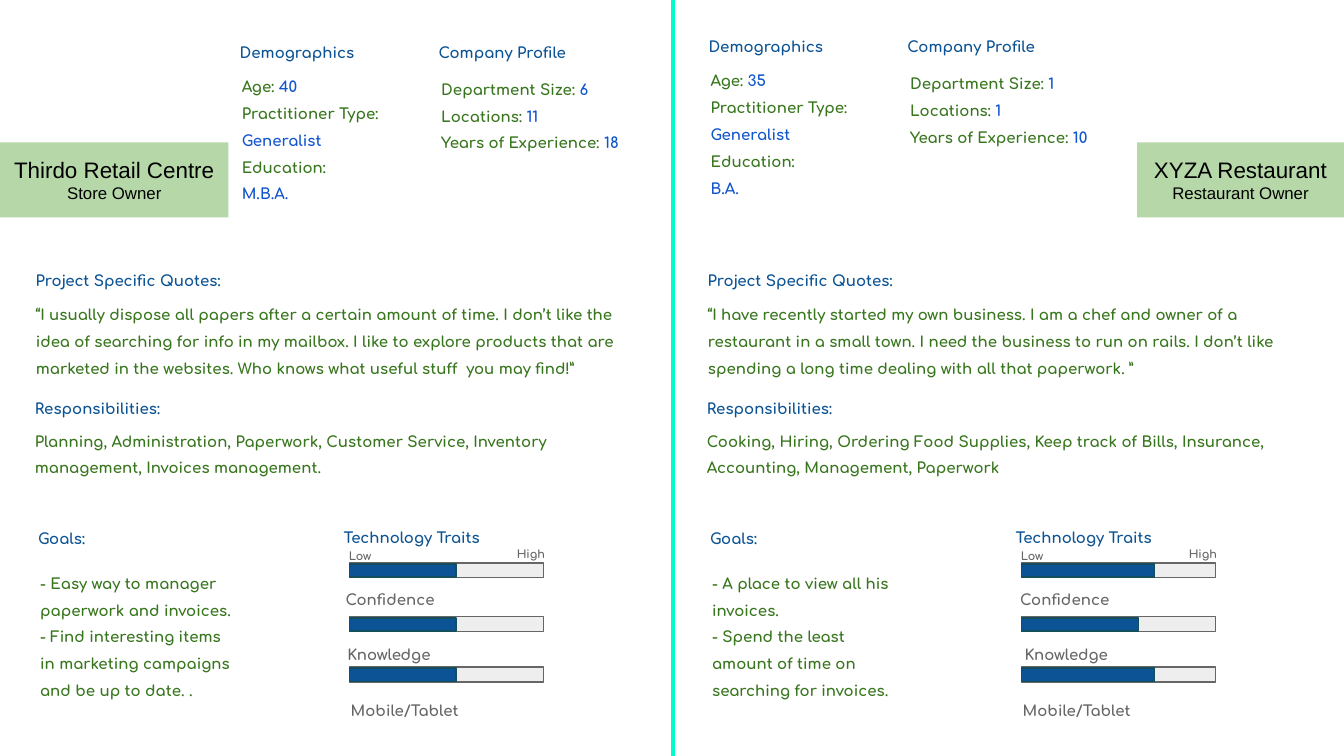
from pptx import Presentation
from pptx.dml.color import RGBColor
from pptx.enum.shapes import MSO_SHAPE as Shape
from pptx.enum.text import MSO_ANCHOR as Anchor, PP_ALIGN as Align
from pptx.util import Cm, Pt

NAVY, GREEN, BLUE, GRAY = "0B5394", "38761D", "1155CC", "666666"
BAR_WIDTH = 3.66
BAR_TOPS = (10.64, 11.66, 12.61)
HALF_WIDTH = 12.7

PERSONAS = [
    {
        "left": 0, "tag_left": 0, "tag_width": 4.32,
        "name": "Thirdo Retail Centre", "role": "Store Owner",
        "profile_at": (4.27, 0.41),
        "age": "40", "education": "M.B.A.",
        "company": ("6", "11", "18"),
        "quote": "“I usually dispose all papers after a certain amount of time. "
                 "I don’t like the idea of searching for info in my mailbox. "
                 "I like to explore products that are marketed in the websites. "
                 "Who knows what useful stuff  you may find!”",
        "duties": "Planning, Administration, Paperwork, Customer Service, "
                  "Inventory management, Invoices management.",
        "goals": ("- Easy way to manager paperwork and invoices.",
                  "- Find interesting items in marketing campaigns "
                  "and be up to date. ."),
        "goals_width": 4.19,
        "traits": (("Confidence", 6.12, 2.01), ("Knowledge", 6.1, 2.01),
                   ("Mobile/Tablet", 6.2, 2.01)),
    },
    {
        "left": HALF_WIDTH, "tag_left": 21.49, "tag_width": 3.91,
        "name": "XYZA Restaurant", "role": "Restaurant Owner",
        "profile_at": (13.13, 0.3),
        "age": "35", "education": "B.A.",
        "company": ("1", "1", "10"),
        "quote": "“I have recently started my own business. I am a chef and "
                 "owner of a restaurant in a small town. I need the business to "
                 "run on rails. I don’t like spending a long time dealing with "
                 "all that paperwork. ”",
        "duties": "Cooking, Hiring, Ordering Food Supplies, Keep track of Bills, "
                  "Insurance, Accounting, Management, Paperwork",
        "goals": ("- A place to view all his invoices.",
                  "- Spend the least amount of time on searching for invoices."),
        "goals_width": 3.91,
        "traits": (("Confidence", 6.17, 2.51), ("Knowledge", 6.2, 2.21),
                   ("Mobile/Tablet", 6.2, 2.51)),
    },
]


def color(code):
    return RGBColor.from_string(code)


def set_frame(frame, anchor):
    frame.word_wrap = True
    frame.vertical_anchor = anchor
    frame.margin_left = frame.margin_right = Cm(0.25)
    frame.margin_top = frame.margin_bottom = Cm(0.25)


def add_paragraphs(frame, paragraphs, font="Comfortaa", bold=True,
                   align=Align.LEFT, spacing=1.5):
    """Write paragraphs, each a list of (words, color code, size) runs."""
    for index, runs in enumerate(paragraphs):
        para = frame.paragraphs[0] if index == 0 else frame.add_paragraph()
        para.alignment = align
        para.line_spacing = spacing
        for words, code, size in runs:
            span = para.add_run()
            span.text = words
            span.font.name = font
            span.font.size = Pt(size)
            span.font.bold = bold
            span.font.color.rgb = color(code)


def add_text(page, left, top, width, height, paragraphs, align=Align.LEFT):
    box = page.shapes.add_textbox(Cm(left), Cm(top), Cm(width), Cm(height))
    set_frame(box.text_frame, Anchor.TOP)
    add_paragraphs(box.text_frame, paragraphs, align=align)


def add_label(page, left, top, width, words, code=NAVY, size=8, align=Align.CENTER):
    add_text(page, left, top, width, 0.74, [[(words, code, size)]], align)


def add_block(page, left, top, width, height, fill, line=None):
    block = page.shapes.add_shape(Shape.RECTANGLE, Cm(left), Cm(top),
                                  Cm(width), Cm(height))
    block.shadow.inherit = False
    block.fill.solid()
    block.fill.fore_color.rgb = color(fill)
    if line:
        block.line.color.rgb = color(line)
        block.line.width = Pt(0.75)
    else:
        block.line.fill.background()
    return block


def add_name_tag(page, persona):
    tag = add_block(page, persona["tag_left"], 2.69, persona["tag_width"], 1.42,
                    "B6D7A8")
    set_frame(tag.text_frame, Anchor.MIDDLE)
    lines = [[(persona["name"], "000000", 12)], [(persona["role"], "000000", 9)]]
    add_paragraphs(tag.text_frame, lines, "Arial", False, Align.CENTER, 1)


def add_profile(page, persona):
    left, top = persona["profile_at"]
    add_label(page, left, top, 2.69, "Demographics")
    add_label(page, left + 3.77, top, 3.28, "Company Profile", align=Align.LEFT)
    add_text(page, left + 0.05, top + 0.64, 3.66, 4.32, [
        [("Age: ", GREEN, 8), (persona["age"], BLUE, 8)],
        [("Practitioner Type:", GREEN, 8)],
        [("Generalist", BLUE, 8)],
        [("Education:", GREEN, 8)],
        [(persona["education"], BLUE, 8)],
    ])
    facts = ("Department Size: ", "Locations: ", "Years of Experience: ")
    add_text(page, left + 3.82, top + 0.69, 3.91, 2.31,
             [[(fact, GREEN, 8), (value, BLUE, 8)]
              for fact, value in zip(facts, persona["company"])])


def add_story(page, persona):
    """Quotes, responsibilities and goals."""
    left = persona["left"]
    add_label(page, left, 4.72, 4.85, "Project Specific Quotes:")
    add_text(page, left + 0.43, 5.36, 11.66, 1.57, [[(persona["quote"], GREEN, 8)]])
    add_label(page, left - 0.58, 7.14, 4.85, "Responsibilities:")
    add_text(page, left + 0.41, 7.75, 11.66, 1.57, [[(persona["duties"], GREEN, 8)]])
    add_label(page, left - 1.26, 9.6, 4.85, "Goals:")
    add_text(page, left + 0.51, 10.44, persona["goals_width"], 2.82,
             [[(goal, GREEN, 8)] for goal in persona["goals"]])


def add_traits(page, persona):
    left = persona["left"]
    add_label(page, left + 5.36, 9.57, 4.85, "Technology Traits")
    for index, (trait, label_left, level) in enumerate(persona["traits"]):
        top = BAR_TOPS[index]
        add_block(page, left + 6.61, top, BAR_WIDTH, 0.28, "EEEEEE", GRAY)
        add_block(page, left + 6.61, top + 0.02, level, 0.25, NAVY, "134F5C")
        width = 2.9 if trait == "Mobile/Tablet" else 2.51
        add_label(page, left + label_left, 10.74 + 1.05 * index, width, trait, GRAY)
    add_label(page, left + 6.17, 10.06, 1.27, "Low", GRAY, 6)
    add_label(page, left + 9.4, 10.03, 1.27, "High", GRAY, 6)


def main():
    deck = Presentation()
    deck.slide_width, deck.slide_height = Cm(25.4), Cm(14.29)
    page = deck.slides.add_slide(deck.slide_layouts[6])
    add_block(page, HALF_WIDTH, 0, 0.05, 14.29, "00FDC8", "00FDC8")
    for persona in PERSONAS:
        add_profile(page, persona)
        add_story(page, persona)
        add_traits(page, persona)
        add_name_tag(page, persona)
    deck.save("out.pptx")


if __name__ == "__main__":
    main()
